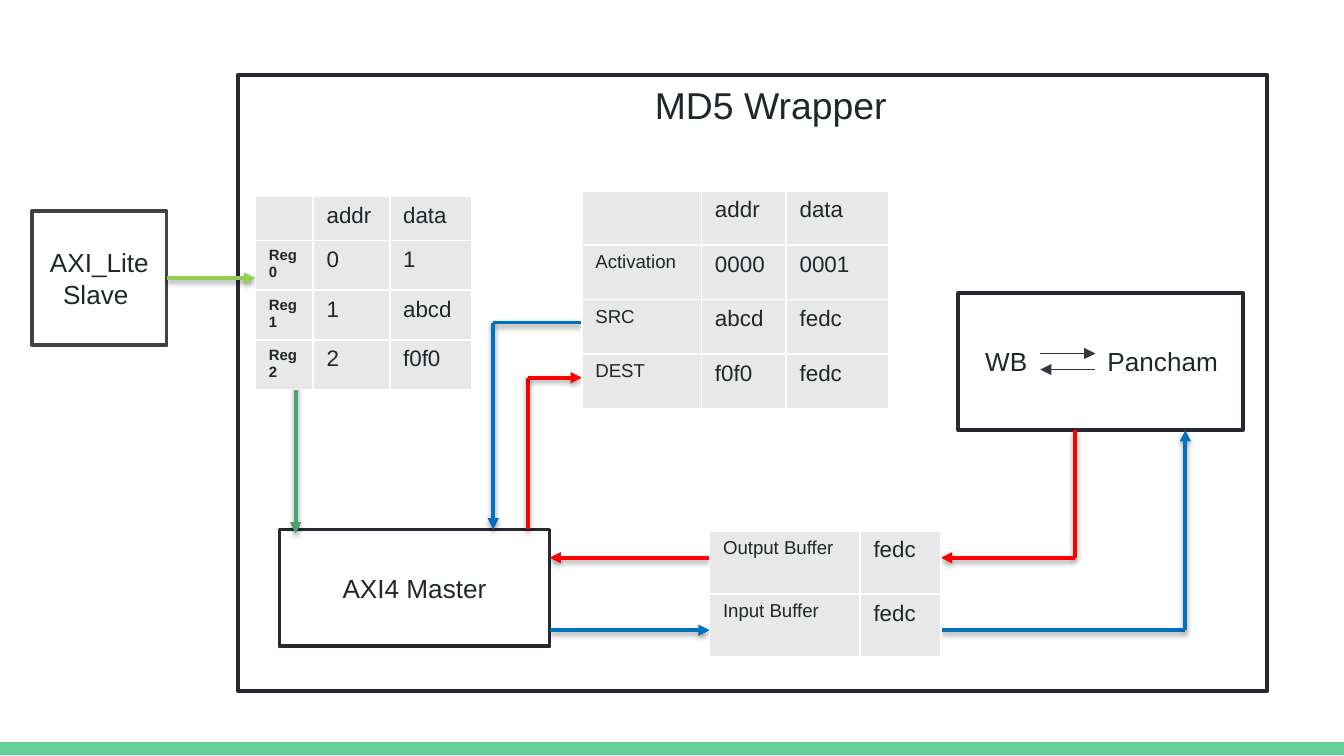
from dataclasses import dataclass
from itertools import pairwise

from lxml.etree import SubElement
from pptx import Presentation
from pptx.dml.color import RGBColor
from pptx.enum.shapes import MSO_CONNECTOR as Link, MSO_SHAPE as Shape
from pptx.enum.text import MSO_ANCHOR as Anchor, PP_ALIGN as Align
from pptx.oxml.ns import qn
from pptx.util import Inches, Pt


@dataclass(frozen=True)
class Theme:
    font: str = "Arial"
    text: str = "202729"
    white: str = "FFFFFF"
    strip: str = "63D297"
    frame: str = "272932"
    slave_frame: str = "424242"
    cell: str = "E8E8E9"
    lime: str = "92D050"
    green: str = "4BA173"
    blue: str = "0070C0"
    red: str = "FF0000"
    thin: str = "333643"
    title_size: float = 20
    block_size: float = 14
    value_size: float = 12
    label_size: float = 10
    register_size: float = 8


THEME = Theme()


@dataclass(frozen=True)
class Box:
    left: float
    top: float
    width: float
    height: float

    @property
    def right(self):
        return self.left + self.width

    @property
    def bottom(self):
        return self.top + self.height

    def inches(self):
        return [Inches(v) for v in (self.left, self.top, self.width, self.height)]


def rgb(value):
    return RGBColor.from_string(value)


def add_span(para, text, size, bold=False):
    span = para.add_run()
    span.text = text
    span.font.name = THEME.font
    span.font.size = Pt(size)
    span.font.bold = bold
    span.font.color.rgb = rgb(THEME.text)


def add_block(page, box, text="", fill=THEME.white, line=THEME.frame):
    block = page.shapes.add_shape(Shape.RECTANGLE, *box.inches())
    block.shadow.inherit = False
    block.fill.solid()
    block.fill.fore_color.rgb = rgb(fill)
    if line:
        block.line.color.rgb = rgb(line)
        block.line.width = Pt(2)
    else:
        block.line.fill.background()
    if text:
        frame = block.text_frame
        frame.vertical_anchor = Anchor.MIDDLE
        frame.paragraphs[0].alignment = Align.CENTER
        add_span(frame.paragraphs[0], text, THEME.block_size)
    return block


def add_core(page, box):
    """Place the WB and Pancham block, its two words set apart by a tab stop."""
    block = add_block(page, box, "WB\tPancham")
    block.text_frame.margin_left = Inches(0.2)
    para = block.text_frame.paragraphs[0]
    para.alignment = Align.LEFT
    stops = SubElement(para._p.get_or_add_pPr(), qn("a:tabLst"))
    SubElement(stops, qn("a:tab"), pos=str(Inches(0.91)), algn="l")


def add_exchange(page, box):
    """Place the pair of thin arrows inside the core block."""
    left, right = box.left + 0.61, box.left + 1.02
    for start, end, drop in ((left, right, 0.45), (right, left, 0.57)):
        y = box.top + drop
        add_route(page, [(start, y), (end, y)], THEME.thin, 0.75, shadow=False)


def add_route(page, points, color, width=2, shadow=True):
    """Join the points with straight lines, the last one ending in an arrowhead."""
    lines = []
    for start, end in pairwise(points):
        line = page.shapes.add_connector(
            Link.STRAIGHT, *[Inches(v) for v in (*start, *end)])
        line.line.color.rgb = rgb(color)
        line.line.width = Pt(width)
        if end == points[-1]:
            SubElement(line.line._get_or_add_ln(), qn("a:tailEnd"), type="triangle")
        effects = SubElement(line._element.spPr, qn("a:effectLst"))
        if shadow:
            cast = SubElement(effects, qn("a:outerShdw"), blurRad=str(Pt(3.1)),
                              dist=str(Pt(1.6)), dir="5400000", rotWithShape="0")
            black = SubElement(cast, qn("a:srgbClr"), val="000000")
            SubElement(black, qn("a:alpha"), val="38000")
        lines.append(line)
    return lines


def style_cell(cell):
    props = cell._tc.get_or_add_tcPr()
    for side in ("lnL", "lnR", "lnT", "lnB"):
        edge = SubElement(props, qn(f"a:{side}"), w=str(Pt(1)))
        paint = SubElement(edge, qn("a:solidFill"))
        SubElement(paint, qn("a:srgbClr"), val=THEME.white)
    cell.fill.solid()
    cell.fill.fore_color.rgb = rgb(THEME.cell)


def add_grid(page, box, columns, heights, rows, label_size, label_bold=False):
    """Place a table whose first column holds small labels."""
    table = page.shapes.add_table(len(rows), len(columns), *box.inches()).table
    table.first_row = table.horz_banding = False
    for column, width in zip(table.columns, columns):
        column.width = Inches(width)
    for row, height, texts in zip(table.rows, heights, rows):
        row.height = Inches(height)
        for index, (cell, text) in enumerate(zip(row.cells, texts)):
            style_cell(cell)
            para = cell.text_frame.paragraphs[0]
            if not text:
                SubElement(para._p, qn("a:endParaRPr"),
                           sz=str(THEME.value_size * 100))
            elif index == 0:
                add_span(para, text, label_size, label_bold)
            else:
                add_span(para, text, THEME.value_size)


def add_title(page, box):
    title = page.shapes.add_textbox(*box.inches())
    title.text_frame.word_wrap = True
    para = title.text_frame.paragraphs[0]
    para.alignment = Align.CENTER
    add_span(para, "MD5 Wrapper", THEME.title_size)


def main():
    deck = Presentation()
    deck.slide_width = Inches(10)
    deck.slide_height = deck.slide_width * 9 // 16
    page = deck.slides.add_slide(deck.slide_layouts[6])

    wrapper = Box(1.77, 0.56, 7.66, 4.58)
    master = Box(2.08, 3.94, 2.01, 0.87)
    core = Box(7.13, 2.18, 2.12, 1.02)
    registers = Box(1.9, 1.46, 1.61, 1.44)
    memory = Box(4.33, 1.42, 2.28, 1.62)
    buffers = Box(5.28, 3.95, 1.72, 0.94)

    add_block(page, Box(0, 5.52, 10, 0.1), fill=THEME.strip, line=None)
    slave = add_block(page, Box(0.24, 1.57, 1, 1), "AXI_Lite Slave ",
                      line=THEME.slave_frame)
    add_block(page, wrapper)
    add_block(page, master, "AXI4 Master")
    add_core(page, core)

    write = add_route(page, [(1.24, 2.07), (registers.left, 2.07)], THEME.lime)[0]
    write.begin_connect(slave, 3)
    source_x, dest_x, read_x, write_x = 3.67, 3.93, 8, 8.82
    output_y, input_y = 4.15, 4.69
    routes = (
        (THEME.blue, [(memory.left, 2.4), (source_x, 2.4), (source_x, master.top)]),
        (THEME.red, [(dest_x, master.top), (dest_x, 2.81), (memory.left, 2.81)]),
        (THEME.blue, [(master.right, input_y), (buffers.left, input_y)]),
        (THEME.red, [(buffers.left, output_y), (master.right, output_y)]),
        (THEME.blue, [(buffers.right, input_y), (write_x, input_y),
                      (write_x, core.bottom)]),
        (THEME.red, [(read_x, core.bottom), (read_x, output_y),
                     (buffers.right, output_y)]),
        (THEME.green, [(2.2, 2.64), (2.2, 3.97)]),
    )
    for color, points in routes:
        add_route(page, points, color)

    add_title(page, Box(3.09, 0.56, 5.29, 0.44))
    add_grid(page, registers, (0.43, 0.57, 0.61), (0.33, 0.37, 0.37, 0.37),
             (("", "addr", "data"), ("Reg0", "0", "1"),
              ("Reg1", "1", "abcd"), ("Reg2", "2", "f0f0")),
             THEME.register_size, label_bold=True)
    add_grid(page, memory, (0.89, 0.63, 0.76), [memory.height / 4] * 4,
             (("", "addr", "data"), ("Activation", "0000", "0001"),
              ("SRC", "abcd", "fedc"), ("DEST", "f0f0", "fedc")),
             THEME.label_size)
    add_grid(page, buffers, (1.12, 0.6), [buffers.height / 2] * 2,
             (("Output Buffer", "fedc"), ("Input Buffer", "fedc")),
             THEME.label_size)
    add_exchange(page, core)
    deck.save("out.pptx")


if __name__ == "__main__":
    main()
